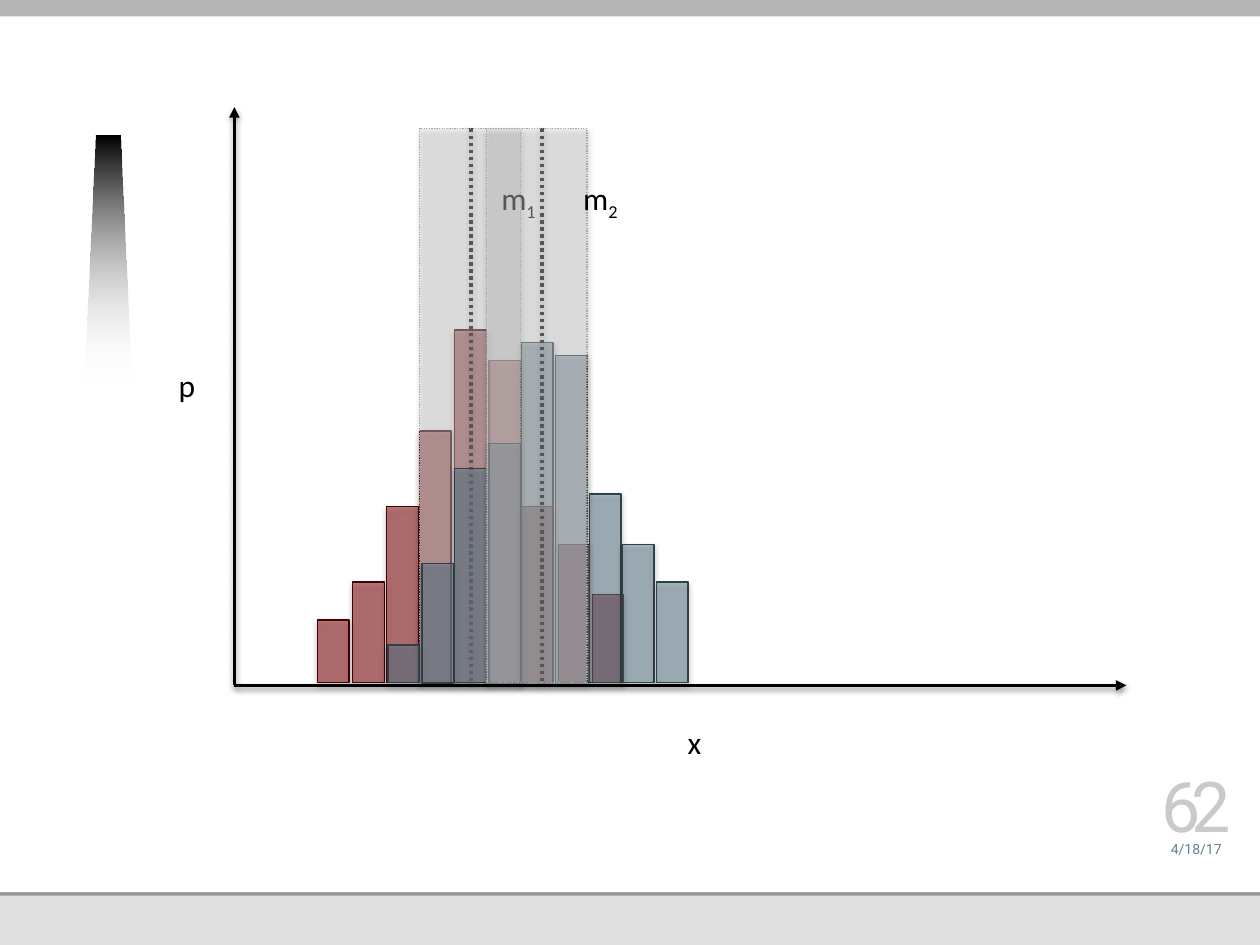
import pptx
import pptx.dml.color
import pptx.enum.dml
import pptx.enum.shapes
import pptx.enum.text
import pptx.oxml
import pptx.oxml.ns
import pptx.util

PX = 9144  # 100 px to the inch
BASE = 542
BAR_WIDTH = 25
BAND_TOP = 102

# (left, height) of each bar
RED_BARS = [(252, 50), (280, 80), (307, 140), (333, 200), (361, 280),
            (388, 256), (414, 140), (443, 110), (470, 70)]
BLUE_BARS = [(308, 30), (335, 95), (361, 170), (388, 190), (414, 270),
             (441, 260), (468, 150), (494, 110), (521, 80)]


def px(*lengths):
    return [pptx.util.Emu(n * PX) for n in lengths]


def rgb(colour):
    return pptx.dml.color.RGBColor.from_string(colour)


def add_xml(parent, xml):
    ns = pptx.oxml.ns.nsdecls("a")
    parent.append(pptx.oxml.parse_xml(xml.replace(">", f" {ns}>", 1)))


def set_alpha(colour_element, percent):
    alpha = colour_element.makeelement(pptx.oxml.ns.qn("a:alpha"),
                                       {"val": str(percent * 1000)})
    colour_element.append(alpha)


def add_shadow(sp, distance, percent):
    """Soft black shadow falling straight down; call after the line is set."""
    add_xml(sp._element.spPr,
            f'<a:effectLst><a:outerShdw blurRad="40000" dist="{distance}" dir="5400000" '
            f'rotWithShape="0"><a:srgbClr val="000000"><a:alpha val="{percent * 1000}"/>'
            '</a:srgbClr></a:outerShdw></a:effectLst>')


def add_rect(s, left, top, width, height, fill):
    sp = s.shapes.add_shape(pptx.enum.shapes.MSO_SHAPE.RECTANGLE,
                            *px(left, top, width, height))
    sp.fill.solid()
    sp.fill.fore_color.rgb = rgb(fill)
    return sp


def add_plain_rect(s, *box_and_fill):
    sp = add_rect(s, *box_and_fill)
    sp.line.fill.background()
    sp.shadow.inherit = False


def add_glass_rect(s, left, top, width, fill, percent, line, dash=None):
    """See-through outlined rectangle standing on the x axis."""
    sp = add_rect(s, left, top, width, BASE - top, fill)
    colour = sp._element.spPr.find(".//" + pptx.oxml.ns.qn("a:srgbClr"))
    set_alpha(colour, percent)
    sp.line.color.rgb = rgb(line)
    sp.line.width = pptx.util.Pt(0.75)
    if dash:
        sp.line.dash_style = dash
    add_shadow(sp, 23000, 35)


def add_histogram(s, bars, fill, line):
    for left, height in bars:
        add_glass_rect(s, left, BASE - height, BAR_WIDTH, fill, 50, line)


def add_line(s, x1, y1, x2, y2, dash=None, arrow=False):
    cxn = s.shapes.add_connector(pptx.enum.shapes.MSO_CONNECTOR.STRAIGHT,
                                 *px(x1, y1, x2, y2))
    cxn.line.color.rgb = rgb("000000")
    cxn.line.width = pptx.util.Pt(2)
    if dash:
        cxn.line.dash_style = dash
    if arrow:
        add_xml(cxn.line._get_or_add_ln(), '<a:tailEnd type="triangle"></a:tailEnd>')
    add_shadow(cxn, 20000, 38)


def add_run(p, text, font, size, colour):
    r = p.add_run()
    r.text = text
    r.font.name = font
    r.font.size = pptx.util.Pt(size)
    r.font.color.rgb = rgb(colour)
    return r


def add_label(s, left, top, width, text, subscript=None):
    tf = s.shapes.add_textbox(*px(left, top, width, 40)).text_frame
    tf.word_wrap = False
    tf.auto_size = pptx.enum.text.MSO_AUTO_SIZE.SHAPE_TO_FIT_TEXT
    p = tf.paragraphs[0]
    add_run(p, text, "Calibri", 18, "000000")
    if subscript:
        r = add_run(p, subscript, "Calibri", 18, "000000")
        r.font._element.set("baseline", "-25000")


def add_footer(s, top, height, text, size, colour):
    tf = s.shapes.add_textbox(*px(913, top, 73, height)).text_frame
    tf.word_wrap = True
    tf.margin_left = tf.margin_right = tf.margin_top = tf.margin_bottom = 0
    tf.vertical_anchor = pptx.enum.text.MSO_ANCHOR.BOTTOM
    p = tf.paragraphs[0]
    p.alignment = pptx.enum.text.PP_ALIGN.CENTER
    return add_run(p, text, "Roboto", size, colour)


def add_fading_beam(s):
    builder = s.shapes.build_freeform(67, 305, scale=PX)
    builder.add_line_segments([(76, 108), (95, 108), (104, 305)], close=True)
    sp = builder.convert_to_shape()
    sp.fill.gradient()
    sp.fill.gradient_angle = 270
    for stop, position, colour in zip(sp.fill.gradient_stops, (0, 1), ("000000", "FFFFFF")):
        stop.position = position
        stop.color.rgb = rgb(colour)
    colours = sp._element.spPr.findall(".//" + pptx.oxml.ns.qn("a:srgbClr"))
    set_alpha(colours[-1], 0)
    sp.line.fill.background()
    sp.shadow.inherit = False


def add_mean(s, x, band_left, label_left, subscript):
    """Dotted mean line with its grey band and label."""
    dots = pptx.enum.dml.MSO_LINE.ROUND_DOT
    add_line(s, x, BAND_TOP, x, BASE, dash=dots)
    add_glass_rect(s, band_left, BAND_TOP, 80, "D9D9D9", 40, "A6A6A6", dots)
    add_label(s, label_left, 137, 49, "m", subscript)


def main():
    prs = pptx.Presentation()
    prs.slide_width, prs.slide_height = px(1000, 750)
    s = prs.slides.add_slide(prs.slide_layouts[6])

    add_plain_rect(s, 0, 0, 1000, 750, "DFDFDF")
    add_plain_rect(s, 0, 178, 1000, 533, "989898")
    add_plain_rect(s, 0, 0, 1000, 708, "FFFFFF")
    add_fading_beam(s)
    add_plain_rect(s, 0, -4, 1017, 17, "B5B5B5")
    add_footer(s, 658, 22, "4/18/17", 8, "618091")
    number = add_footer(s, 616, 56, "62", 40, "CACACA")
    number.font._element.set("spc", "-500")

    add_line(s, 186, 544, 894, 544, arrow=True)
    add_line(s, 186, 544, 186, 85, arrow=True)
    add_histogram(s, RED_BARS, "850205", "420103")
    add_label(s, 536, 569, 31, "x")
    add_label(s, 132, 286, 34, "p")
    add_mean(s, 374, 333, 388, "1")
    add_histogram(s, BLUE_BARS, "618091", "304048")
    add_mean(s, 430, 386, 453, "2")

    prs.save("out.pptx")


if __name__ == "__main__":
    main()
